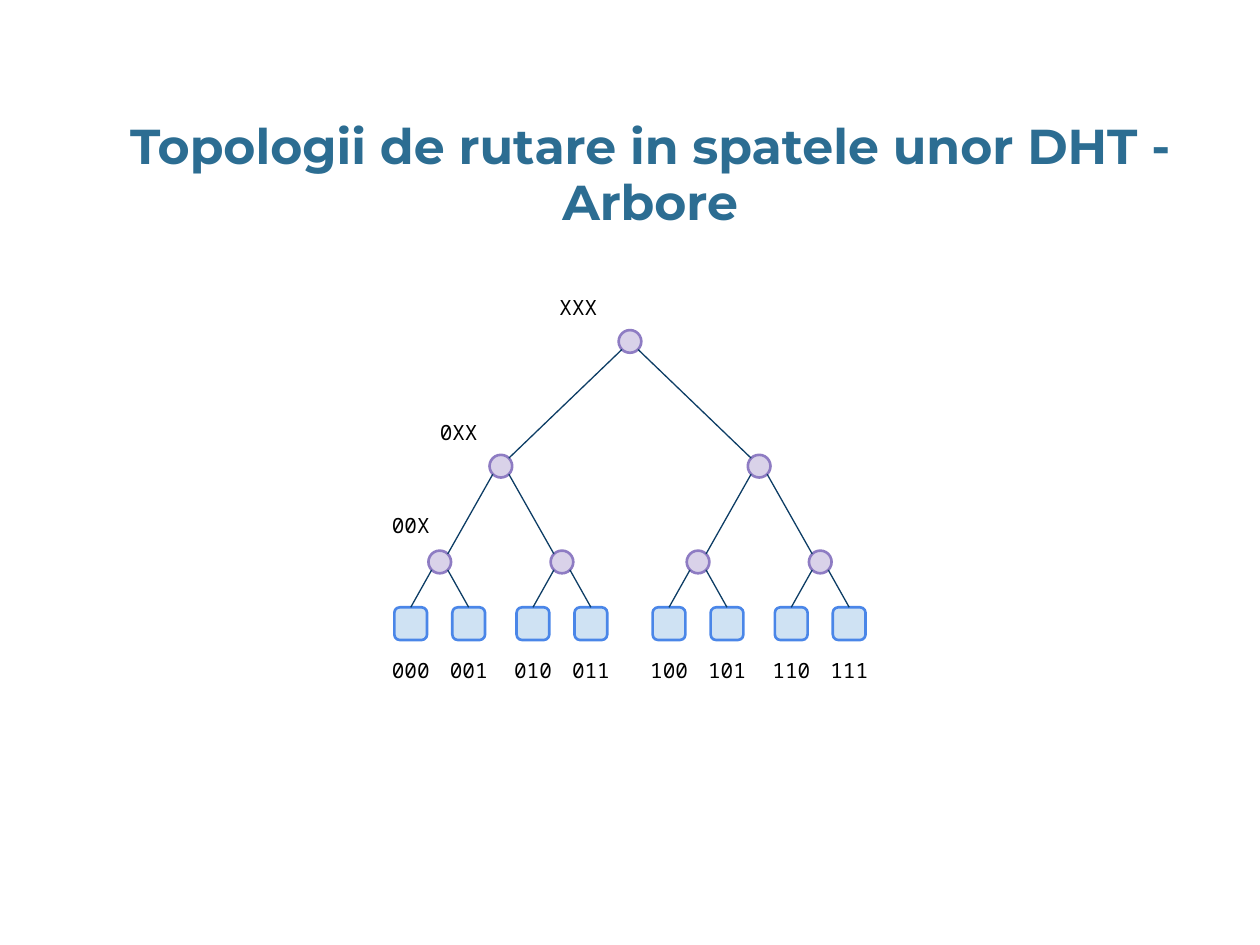
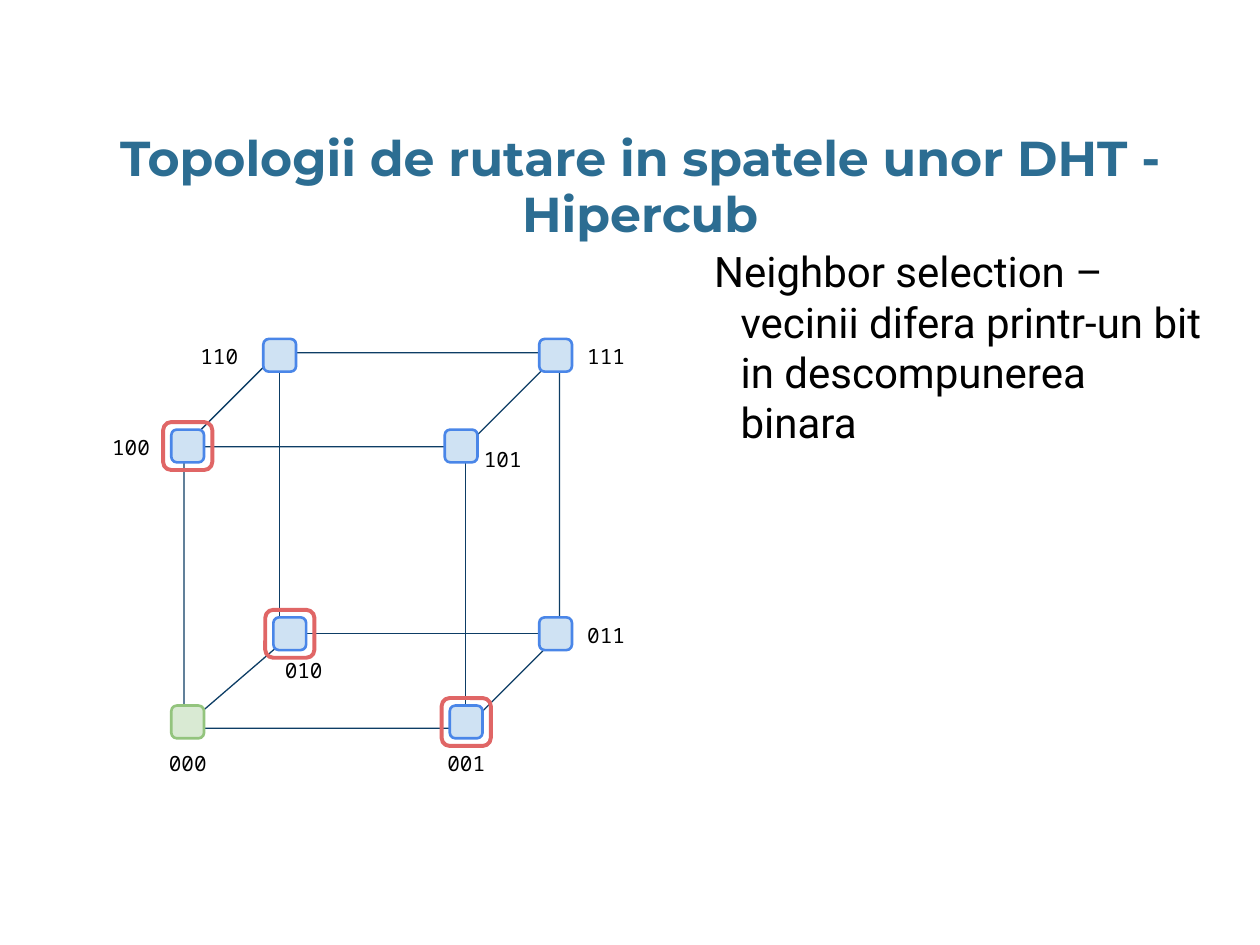
from itertools import product
from pptx import Presentation
from pptx.dml.color import RGBColor
from pptx.enum.shapes import MSO_CONNECTOR, MSO_SHAPE
from pptx.enum.text import PP_ALIGN
from pptx.oxml.ns import qn
from pptx.util import Inches, Pt

TITLE = "Topologii de rutare in spatele unor DHT - "
NOTE = "Neighbor selection – vecinii difera printr-un bit in descompunerea binara"

INK, TITLE_BLUE, EDGE = "000000", "2C6D92", "0D3D65"
BLUE, GREEN, PURPLE = ("CFE2F3", "4A86E8"), ("D9EAD3", "93C47D"), ("D9D2E9", "8E7CC3")
RING = (None, "E06666")

BOX, DOT = 0.26, 0.18
LABEL_W, LABEL_H = 0.55, 0.38

# Tree: root position, sideways reach of each branching, height of each level's centre
ROOT_X = 5.0
REACH = [1.025, 0.485, 0.23]
LEVEL_Y = [2.71, 3.70, 4.46, 4.95]
LEAF_LABEL_Y = 5.31
PREFIXES = [("00X", 3.26, 4.16), ("0XX", 3.64, 3.42), ("XXX", 4.59, 2.43)]

# Hypercube: address -> (centre of node, centre of label)
CUBE = (1.46, 2.8, 2.98, 2.98)
HIDDEN_EDGES = [((4.44, 5.03), (2.3, 5.03)),
                ((2.32, 5.03), (1.46, 5.77)),
                ((2.22, 2.81), (2.22, 5.05))]
VERTICES = {
    "000": ((1.49, 5.73), (1.49, 6.05)),
    "010": ((2.30, 5.03), (2.41, 5.31)),
    "011": ((4.41, 5.03), (4.81, 5.03)),
    "001": ((3.70, 5.73), (3.70, 6.05)),
    "100": ((1.49, 3.54), (1.04, 3.54)),
    "110": ((2.22, 2.82), (1.74, 2.82)),
    "101": ((3.66, 3.54), (3.99, 3.63)),
    "111": ((4.41, 2.82), (4.81, 2.82)),
}
START = "000"


def color(hex_code):
    return RGBColor.from_string(hex_code)


def add_text(s, text, box, font, size, ink=INK, bold=False, align=PP_ALIGN.CENTER):
    tf = s.shapes.add_textbox(*map(Inches, box)).text_frame
    tf.word_wrap = True
    tf.margin_left = tf.margin_top = tf.margin_right = tf.margin_bottom = Inches(0.1)
    p = tf.paragraphs[0]
    p.text = text
    p.alignment = align
    f = p.font
    f.name, f.size, f.bold = font, Pt(size), bold
    f.color.rgb = color(ink)
    return p


def add_title(s, topic, left, top):
    p = add_text(s, TITLE + topic, (left, top, 9.32, 0.63),
                 "Montserrat", 28, TITLE_BLUE, True)
    p.line_spacing = 0.95


def add_label(s, text, x, y):
    """Address label centred on (x, y)."""
    box = (x - LABEL_W / 2, y - LABEL_H / 2, LABEL_W, LABEL_H)
    add_text(s, text, box, "Noto Sans Mono", 12)


def add_outlined(s, preset, box, colors, weight):
    fill, line = colors
    sp = s.shapes.add_shape(preset, *map(Inches, box))
    sp.shadow.inherit = False
    if fill:
        sp.fill.solid()
        sp.fill.fore_color.rgb = color(fill)
    else:
        sp.fill.background()
    sp.line.color.rgb = color(line)
    sp.line.width = Pt(weight)
    return sp


def add_node(s, x, y, colors=BLUE, preset=MSO_SHAPE.FLOWCHART_ALTERNATE_PROCESS,
             width=BOX, height=None, weight=1.5):
    """Node shape centred on (x, y)."""
    height = height or width
    box = (x - width / 2, y - height / 2, width, height)
    return add_outlined(s, preset, box, colors, weight)


def add_edge(s, start, end):
    c = s.shapes.add_connector(MSO_CONNECTOR.STRAIGHT, *map(Inches, start + end))
    c.line.color.rgb = color(EDGE)
    c.line.width = Pt(0.75)
    sp_pr = c._element.spPr
    sp_pr.append(sp_pr.makeelement(qn("a:effectLst"), {}))
    return c


def tree_x(bits):
    return ROOT_X + sum(REACH[i] * (1 if b == "1" else -1) for i, b in enumerate(bits))


def build_tree(s):
    add_title(s, "Arbore", 0.5, 0.85)
    rim = DOT / 2 * 0.71  # diagonal point of a circle
    for level, y in enumerate(LEVEL_Y):
        is_leaf = level == len(REACH)
        for bits in map("".join, product("01", repeat=level)):
            x = tree_x(bits)
            if is_leaf:
                node = add_node(s, x, y)
                add_label(s, bits, x, LEAF_LABEL_Y)
            else:
                add_node(s, x, y, PURPLE, MSO_SHAPE.OVAL, DOT)
            if not bits:
                continue
            side = 1 if bits[-1] == "1" else -1
            start = (tree_x(bits[:-1]) + side * rim, LEVEL_Y[level - 1] + rim)
            if is_leaf:
                add_edge(s, start, (x, y - BOX / 2)).end_connect(node, 0)
            else:
                add_edge(s, start, (x - side * rim, y - rim))
    for prefix in PREFIXES:
        add_label(s, *prefix)


def build_hypercube(s):
    add_title(s, "Hipercub", 0.42, 0.95)
    p = add_text(s, NOTE, (5.57, 1.85, 4.12, 0.97), "Roboto", 24, align=PP_ALIGN.LEFT)
    p_pr = p._p.get_or_add_pPr()
    p_pr.set("marL", str(Inches(0.21)))
    p_pr.set("indent", str(Inches(-0.21)))

    cube = add_outlined(s, MSO_SHAPE.CUBE, CUBE, (None, EDGE), 0.75)
    cube.adjustments[0] = 0.25
    for edge in HIDDEN_EDGES:
        add_edge(s, *edge)
    for address, (center, label) in VERTICES.items():
        add_node(s, *center, GREEN if address == START else BLUE)
        add_label(s, address, *label)
    for address, (center, _) in VERTICES.items():
        if sum(a != b for a, b in zip(address, START)) == 1:
            add_node(s, *center, RING, MSO_SHAPE.ROUNDED_RECTANGLE, 0.39, 0.38, 2.25)


def main():
    prs = Presentation()
    prs.slide_width, prs.slide_height = Inches(10), Inches(7.5)
    for build in (build_tree, build_hypercube):
        build(prs.slides.add_slide(prs.slide_layouts[6]))
    prs.save("out.pptx")


if __name__ == "__main__":
    main()
